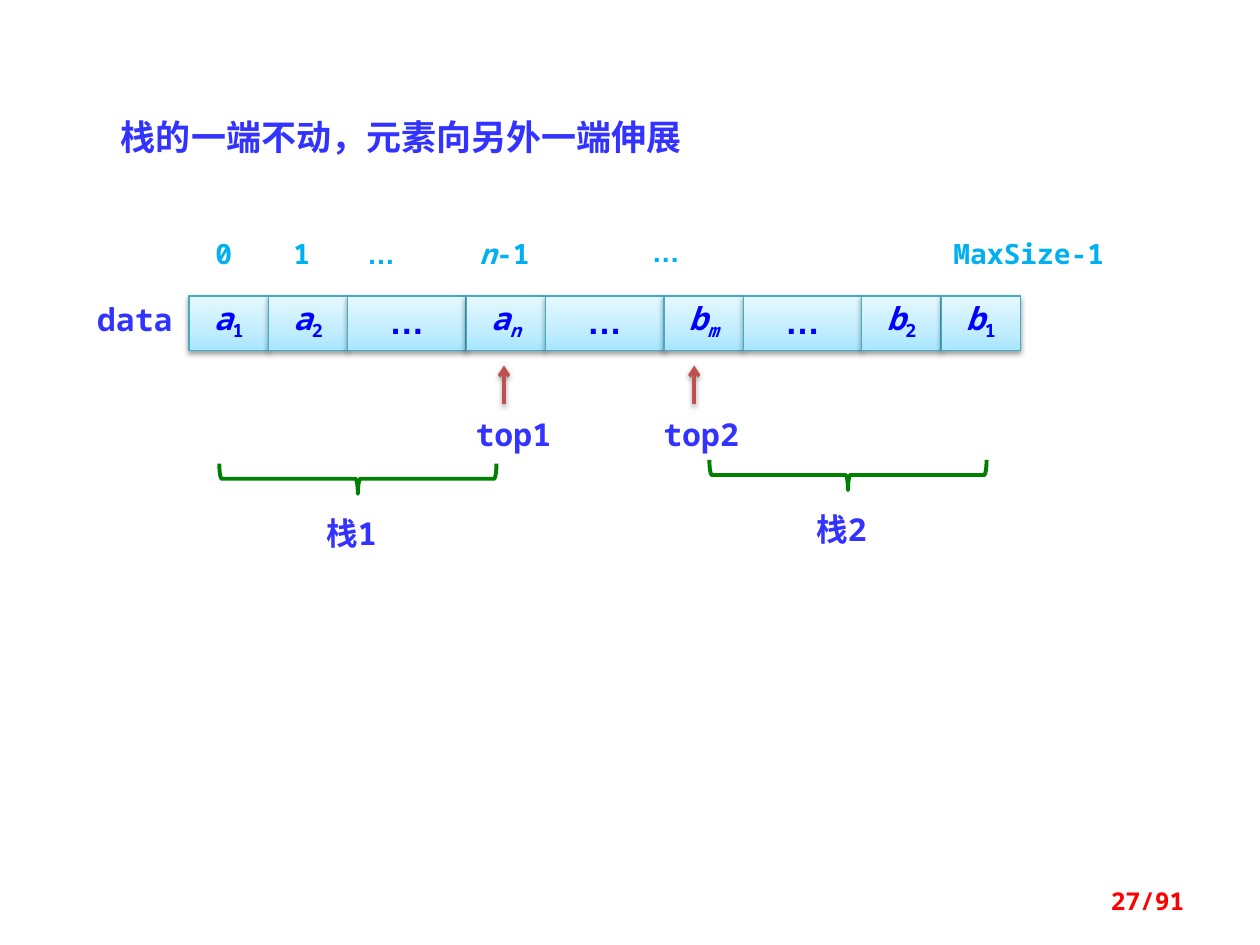
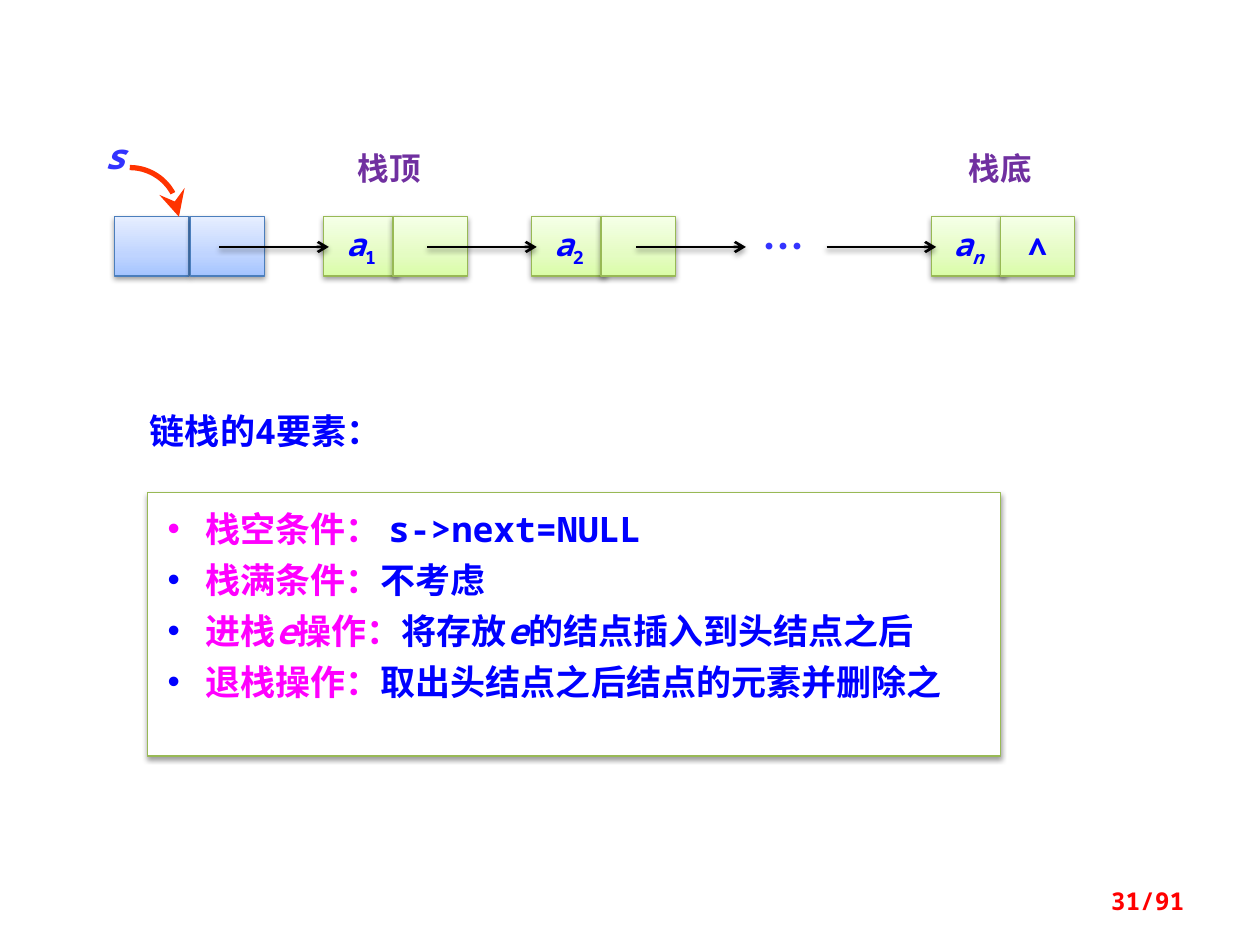
from copy import deepcopy
from dataclasses import dataclass
from math import cos, pi, sin
from typing import NamedTuple

from lxml import etree
from pptx import Presentation
from pptx.dml.color import RGBColor
from pptx.enum.shapes import MSO_CONNECTOR, MSO_SHAPE
from pptx.enum.text import MSO_ANCHOR, MSO_AUTO_SIZE, PP_ALIGN
from pptx.oxml.ns import qn
from pptx.util import Inches, Pt

RECT = MSO_SHAPE.RECTANGLE
BRACE = MSO_SHAPE.RIGHT_BRACE
LINE = MSO_CONNECTOR.STRAIGHT
TOP, MIDDLE = MSO_ANCHOR.TOP, MSO_ANCHOR.MIDDLE
GROW, FIXED = MSO_AUTO_SIZE.SHAPE_TO_FIT_TEXT, MSO_AUTO_SIZE.NONE
LEFT, CENTER, RIGHT = PP_ALIGN.LEFT, PP_ALIGN.CENTER, PP_ALIGN.RIGHT

MONO, ARIAL = "Noto Sans Mono", "Arial"
HAN, KANJI = "Noto Sans CJK SC", "Noto Sans CJK JP"

BLACK = RGBColor(0x00, 0x00, 0x00)
WHITE = RGBColor(0xFF, 0xFF, 0xFF)
BLUE = RGBColor(0x00, 0x00, 0xFF)
INDIGO = RGBColor(0x33, 0x33, 0xFF)
SKY = RGBColor(0x00, 0xB0, 0xF0)
PINK = RGBColor(0xFF, 0x00, 0xFF)
PURPLE = RGBColor(0x70, 0x30, 0xA0)
RED = RGBColor(0xFF, 0x00, 0x00)
ORANGE = RGBColor(0xFF, 0x33, 0x00)
BRICK = RGBColor(0xC0, 0x50, 0x4D)
GREEN = RGBColor(0x00, 0x80, 0x00)
OLIVE = RGBColor(0x98, 0xB9, 0x55)


class Box(NamedTuple):
    x: float
    y: float
    w: float
    h: float


class Run(NamedTuple):
    text: str
    slant: bool = False
    sub: bool = False
    color: RGBColor | None = None


@dataclass(frozen=True)
class Style:
    size: int
    color: RGBColor
    font: str = MONO
    align: PP_ALIGN = CENTER


@dataclass(frozen=True)
class Paint:
    low: RGBColor
    mid: RGBColor
    high: RGBColor
    edge: RGBColor


AQUA = Paint(RGBColor(0xA7, 0xE6, 0xFF), RGBColor(0xC1, 0xED, 0xFF),
             RGBColor(0xE7, 0xF8, 0xFF), RGBColor(0x46, 0xAA, 0xC5))
STEEL = Paint(RGBColor(0xA4, 0xC4, 0xFF), RGBColor(0xBF, 0xD4, 0xFF),
              RGBColor(0xE6, 0xEE, 0xFF), RGBColor(0x4B, 0x7E, 0xBC))
LIME = Paint(RGBColor(0xDA, 0xFD, 0xA7), RGBColor(0xE4, 0xFC, 0xC2),
             RGBColor(0xF5, 0xFF, 0xE7), OLIVE)

ITEM = Style(18, BLUE)
DOTS = Style(20, BLUE, ARIAL)
INDEX = Style(16, SKY)
LABEL = Style(18, INDIGO)
MARK = Style(18, PURPLE, HAN)
FOOT = Style(14, RED, align=RIGHT)
LIST = Style(20, BLUE, align=LEFT)
TIGHT = (0, 0, 0, 0)
LOOSE = (0.1, 0.05, 0.1, 0.05)


def add_node(parent, tag: str, **attrs):
    return etree.SubElement(parent, qn(tag), attrs)


def place(shape, box: Box) -> None:
    shape.left, shape.top, shape.width, shape.height = map(Inches, box)


def write(para, runs: list[Run], style: Style) -> None:
    para.alignment = style.align
    para.space_before = Pt(0)
    for part in runs:
        run = para.add_run()
        run.text = part.text
        font = run.font
        font.name, font.size, font.bold = style.font, Pt(style.size), True
        font.italic = part.slant
        font.color.rgb = part.color or style.color
        props = run._r.get_or_add_rPr()
        east = HAN if style.font == MONO else style.font
        add_node(props, "a:ea", typeface=east)
        if part.sub:
            props.set("baseline", "-25000")


def set_frame(shape, pads: tuple, anchor, wrap: bool = True, fit=FIXED):
    frame = shape.text_frame
    (frame.margin_left, frame.margin_top,
     frame.margin_right, frame.margin_bottom) = map(Inches, pads)
    frame.vertical_anchor = anchor
    frame.word_wrap = wrap
    frame.auto_size = fit
    return frame


def add_text(slide, box: Box, runs: list[Run], style: Style,
             pads: tuple = TIGHT, anchor=TOP, fit=GROW) -> None:
    shape = slide.shapes.add_textbox(*map(Inches, box))
    frame = set_frame(shape, pads, anchor, fit=fit)
    write(frame.paragraphs[0], runs, style)


def set_title(slide, box: Box, text: str, style: Style) -> None:
    title = slide.shapes.title
    place(title, box)
    frame = set_frame(title, LOOSE, MIDDLE)
    write(frame.paragraphs[0], [Run(text)], style)


def add_foot(slide, page: int) -> None:
    add_text(slide, Box(7.17, 6.95, 2.33, 0.4), [Run(f"{page}/91")],
             FOOT, LOOSE, MIDDLE, FIXED)


def cast(shape) -> None:
    props = shape.element.spPr
    for old in props.findall(qn("a:effectLst")):
        props.remove(old)
    effects = add_node(props, "a:effectLst")
    shade = add_node(effects, "a:outerShdw", blurRad="40000", dist="20000",
                     dir="5400000", rotWithShape="0")
    tint = add_node(shade, "a:srgbClr", val=str(BLACK))
    add_node(tint, "a:alpha", val="38000")


def set_line(shape, color: RGBColor, width: float) -> None:
    shape.line.color.rgb = color
    shape.line.width = Pt(width)


def add_head(shape, kind: str, size: str = "med") -> None:
    add_node(shape.line._get_or_add_ln(), "a:tailEnd",
             type=kind, w=size, len=size)


def add_cell(slide, box: Box, paint: Paint, runs: list[Run],
             style: Style = ITEM, pads: tuple = LOOSE,
             wrap: bool = False) -> None:
    cell = slide.shapes.add_shape(RECT, *map(Inches, box))
    fill = cell.fill
    fill.gradient()
    fill.gradient_angle = 90
    first = cell.element.spPr.find(f".//{qn('a:gs')}")
    middle = deepcopy(first)
    middle.set("pos", "35000")
    first.addnext(middle)
    for stop, color in zip(fill.gradient_stops,
                           (paint.low, paint.mid, paint.high)):
        stop.color.rgb = color
    set_line(cell, paint.edge, 0.75)
    cast(cell)
    if runs:
        frame = set_frame(cell, pads, MIDDLE, wrap)
        write(frame.paragraphs[0], runs, style)


def add_arrow(slide, x: float, y: float, dx: float, dy: float,
              color: RGBColor, width: float) -> None:
    arrow = slide.shapes.add_connector(
        LINE, *map(Inches, (x, y, x + dx, y + dy)))
    set_line(arrow, color, width)
    add_head(arrow, "arrow")
    cast(arrow)


def add_brace(slide, x: float, y: float, text: str) -> None:
    brace = slide.shapes.add_shape(
        BRACE, *map(Inches, (x, y, 0.24, 2.2)))
    brace.rotation = 90
    brace.shadow.inherit = False
    brace.fill.background()
    set_line(brace, GREEN, 2.25)
    add_text(slide, Box(x - 0.28, y + 1.38, 0.7, 0.3), [Run(text)], LABEL)


def add_hook(slide, x: float, y: float, size: float) -> None:
    steps = 24
    angles = [pi / 2 * k / steps for k in range(steps + 1)]
    points = [(Inches(x + size * sin(a)), Inches(y + size * (1 - cos(a))))
              for a in angles]
    pen = slide.shapes.build_freeform(*points[0])
    pen.add_line_segments(points[1:], close=False)
    hook = pen.convert_to_shape()
    hook.shadow.inherit = False
    hook.fill.background()
    set_line(hook, ORANGE, 3)
    add_head(hook, "stealth", "lg")


def term(name: str, index: str) -> list[Run]:
    return [Run(name, True), Run(index, index.isalpha(), True)]


def draw_shared(deck) -> None:
    slide = deck.slides.add_slide(deck.slide_layouts[5])
    set_title(slide, Box(0.86, 0.86, 5.94, 0.44),
              "栈的一端不动，元素向另外一端伸展",
              Style(20, INDIGO, KANJI, LEFT))
    x = 1.5
    for name in ("a1", "a2", "…", "an", "…", "bm", "…", "b2", "b1"):
        gap = name == "…"
        width = 0.94 if gap else 0.63
        runs = [Run(name)] if gap else term(*name)
        add_cell(slide, Box(x, 2.35, width, 0.43), AQUA, runs,
                 DOTS if gap else ITEM, (0.1, 0, 0.1, 0.05), True)
        x += width

    dots = Style(16, SKY, ARIAL)
    for x, y, width, runs, style in (
            (1.58, 1.88, 0.39, [Run("0")], INDEX),
            (2.2, 1.88, 0.39, [Run("1")], INDEX),
            (2.83, 1.88, 0.39, [Run("…")], dots),
            (3.69, 1.88, 0.63, [Run("n", True), Run("-1")], INDEX),
            (5.09, 1.86, 0.39, [Run("…")], dots),
            (7.5, 1.88, 1.33, [Run("MaxSize-1")], INDEX),
            (0.72, 2.38, 0.7, [Run("data")], LABEL)):
        add_text(slide, Box(x, y, width, 0.27), runs, style)

    for x, left, name in ((4, 3.76, "top1"), (5.51, 5.25, "top2")):
        add_arrow(slide, x, 3.21, 0, -0.31, BRICK, 2)
        add_text(slide, Box(left, 3.29, 0.63, 0.3), [Run(name)], LABEL)
    add_brace(slide, 2.72, 2.7, "栈1")
    add_brace(slide, 6.61, 2.67, "栈2")
    add_foot(slide, 27)


def fill_list(slide) -> None:
    body = slide.placeholders[1]
    place(body, Box(1.17, 3.91, 6.77, 2.09))
    body.fill.solid()
    body.fill.fore_color.rgb = WHITE
    set_line(body, OLIVE, 0.75)
    cast(body)
    frame = set_frame(body, (0.16, 0.12, 0.16, 0.12), TOP)
    rows = (
        [Run("栈空条件：", color=PINK), Run(" s->next=NULL")],
        [Run("栈满条件：", color=PINK), Run("不考虑")],
        [Run("进栈", color=PINK), Run("e", True, color=PINK),
         Run("操作：", color=PINK), Run("将存放"), Run("e", True),
         Run("的结点插入到头结点之后")],
        [Run("退栈操作：", color=PINK),
         Run("取出头结点之后结点的元素并删除之")],
    )
    for k, runs in enumerate(rows):
        para = frame.add_paragraph() if k else frame.paragraphs[0]
        write(para, runs, LIST)
        para.space_before = Pt(5 if k else 0)
        props = para._p.get_or_add_pPr()
        props.set("marL", str(Inches(0.3)))
        props.set("indent", str(-Inches(0.3)))
        tint = add_node(props, "a:buClr")
        add_node(tint, "a:srgbClr", val=str(BLUE if k else PINK))
        add_node(props, "a:buFont", typeface=ARIAL)
        add_node(props, "a:buChar", char="•")


def draw_linked(deck) -> None:
    slide = deck.slides.add_slide(deck.slide_layouts[1])
    set_title(slide, Box(1.09, 3.2, 2.52, 0.44), "链栈的4要素：", LIST)
    fill_list(slide)
    for x, step, paint, data, link in (
            (0.91, 0.6, STEEL, [], []),
            (2.57, 0.55, LIME, term("a", "1"), []),
            (4.22, 0.55, LIME, term("a", "2"), []),
            (7.39, 0.55, LIME, term("a", "n"), [Run("∧")])):
        for left, runs in ((x, data), (x + step, link)):
            add_cell(slide, Box(left, 1.72, 0.59, 0.47), paint, runs)
    for x in (1.74, 3.39, 5.05, 6.56):
        add_arrow(slide, x, 1.96, 0.87, 0, BLACK, 1.5)

    add_hook(slide, 1.03, 1.33, 0.39)
    for box, run, style in (
            (Box(5.95, 1.7, 0.54, 0.5), Run("…"), Style(24, INDIGO, HAN)),
            (Box(0.68, 1.02, 0.47, 0.44), Run("s", True), Style(20, INDIGO)),
            (Box(2.54, 1.13, 1.1, 0.4), Run("栈顶"), MARK),
            (Box(7.39, 1.13, 1.1, 0.4), Run("栈底"), MARK)):
        add_text(slide, box, [run], style, LOOSE)
    add_foot(slide, 31)


def main() -> None:
    deck = Presentation()
    deck.slide_width, deck.slide_height = Inches(10), Inches(7.5)
    draw_shared(deck)
    draw_linked(deck)
    deck.save("out.pptx")


if __name__ == "__main__":
    main()
